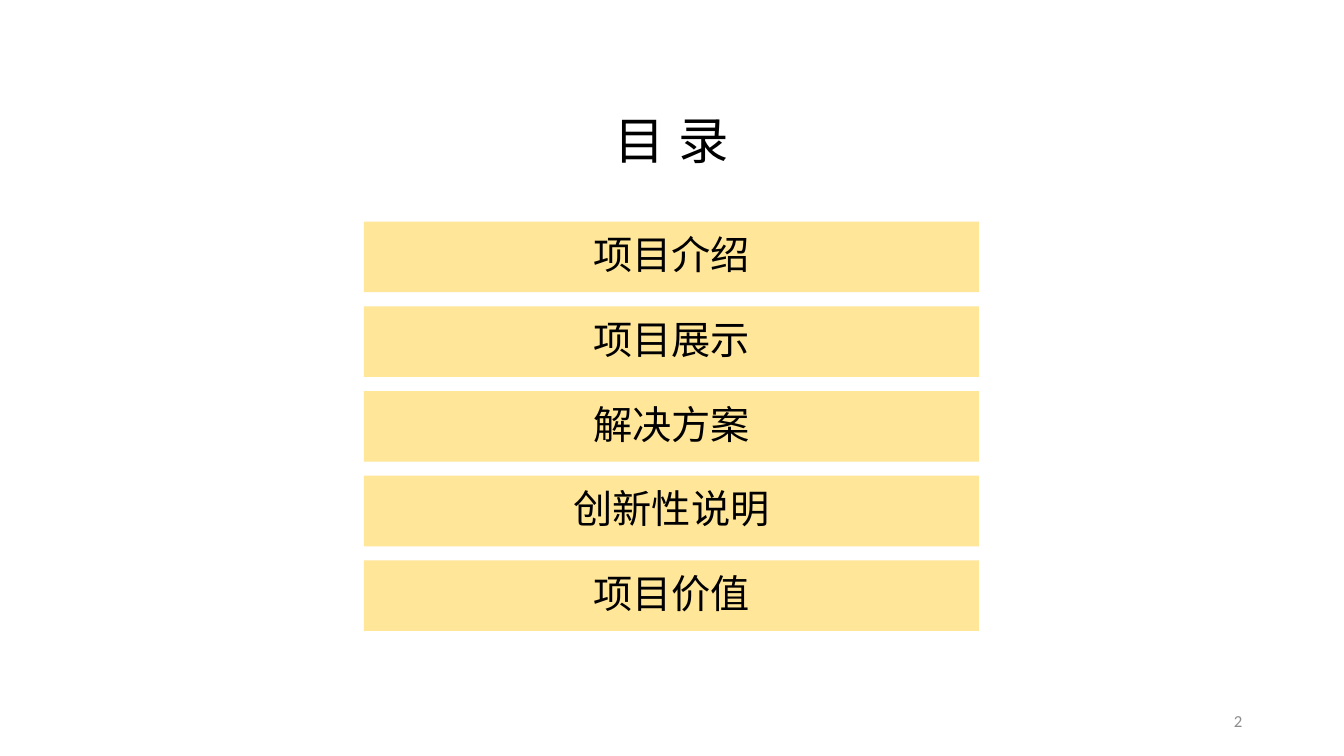
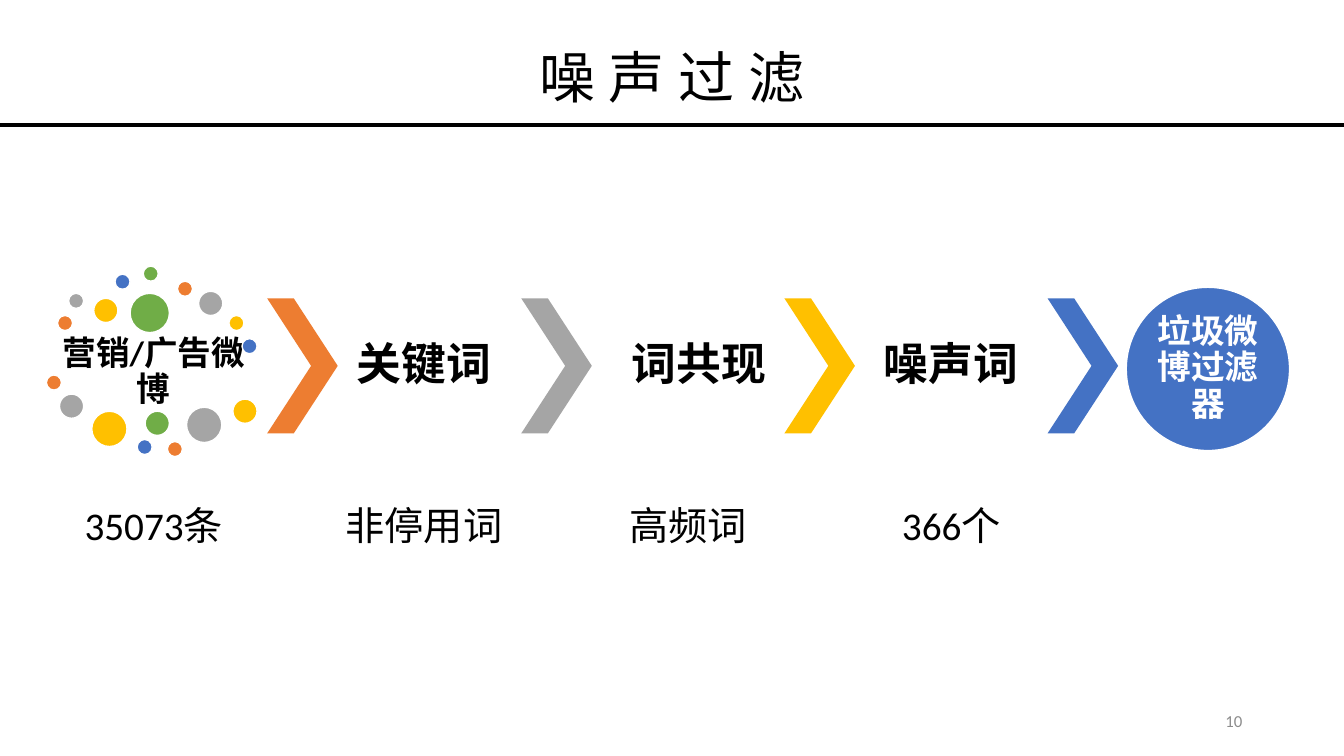
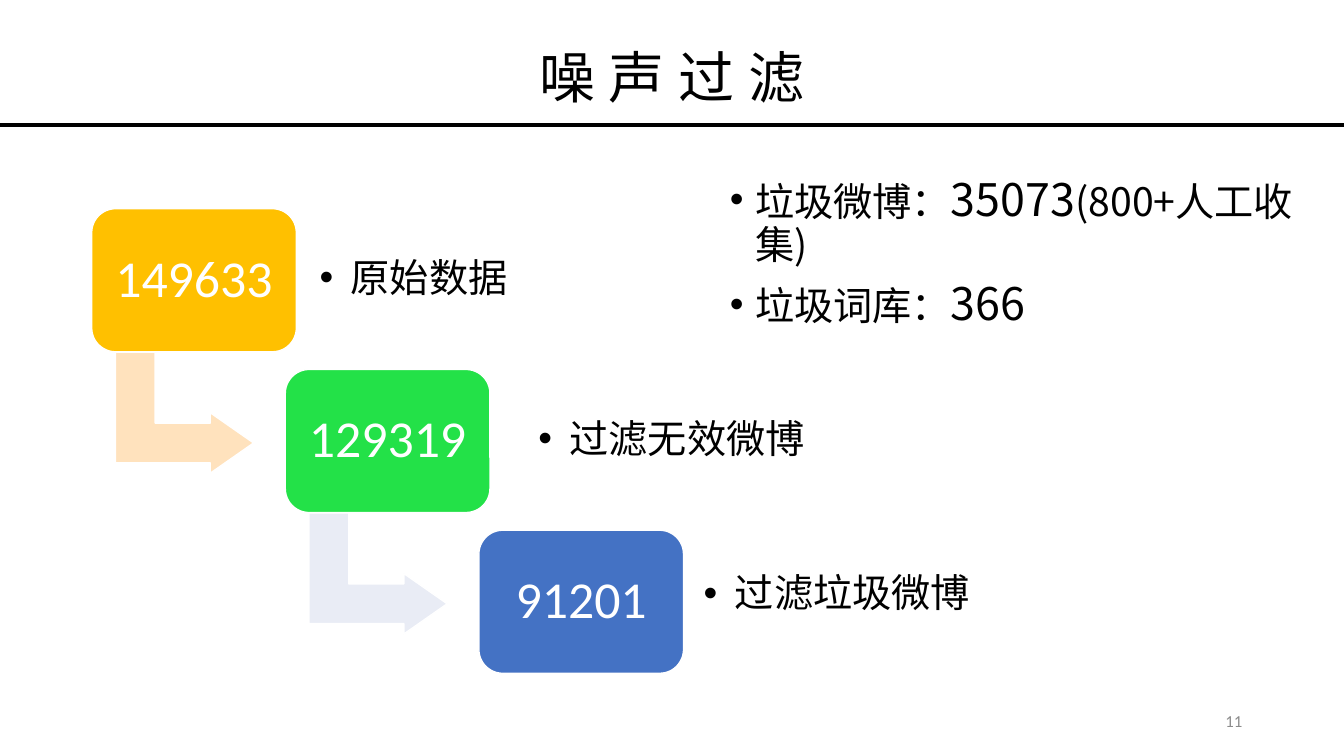
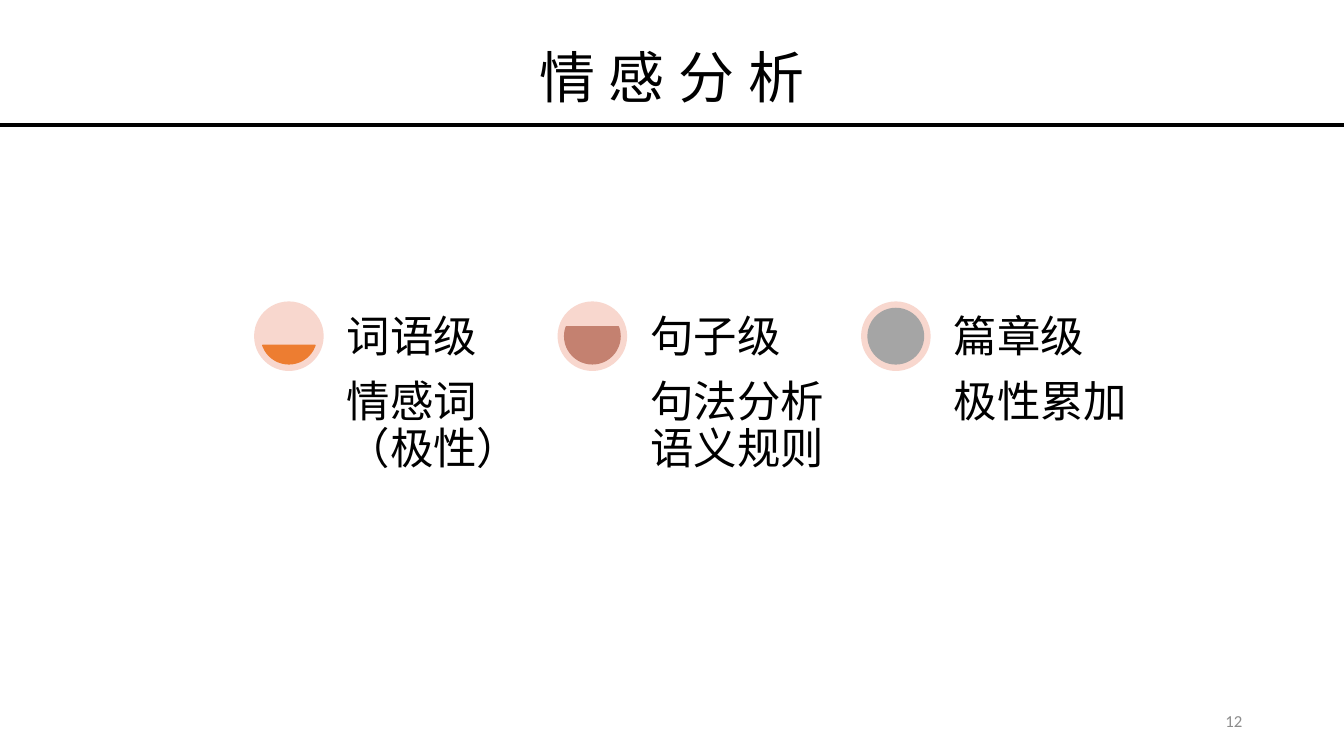
from lxml.etree import SubElement
from pptx import Presentation
from pptx.dml.color import RGBColor
from pptx.enum.shapes import MSO_CONNECTOR, MSO_SHAPE
from pptx.enum.text import MSO_ANCHOR, MSO_AUTO_SIZE, PP_ALIGN
from pptx.oxml.ns import qn
from pptx.util import Inches, Pt

LATIN = "Calibri"
CJK = "Noto Sans CJK SC"
BLACK, WHITE, PAGE_GREY = "000000", "FFFFFF", "8C8C8C"
ORANGE, GREY, GOLD, BLUE, GREEN = "ED7D31", "A5A5A5", "FFC000", "4472C4", "70AD47"
CREAM, PINK, CLAY = "FFE699", "F8D7CE", "C48170"
PEACH, PALE_BLUE, BRIGHT_GREEN = "FFE2BD", "E9ECF5", "23E148"
TITLE_BOX = (4.34, 0.37, 4.65, 0.77)


def rgb(colour):
    return RGBColor.from_string(colour)


def inches(box):
    return [Inches(length) for length in box]


def write_text(frame, content, size=28, colour=BLACK, font=LATIN, bold=False,
               align=PP_ALIGN.CENTER, anchor=MSO_ANCHOR.MIDDLE, inset=(0.1, 0.05),
               line_spacing=0.9, before=0, tracking=0, bullet_indent=0):
    frame.word_wrap = True
    frame.auto_size = MSO_AUTO_SIZE.NONE
    frame.vertical_anchor = anchor
    frame.margin_left = frame.margin_right = Inches(inset[0])
    frame.margin_top = frame.margin_bottom = Inches(inset[1])
    paragraphs = [[(content, size)]] if isinstance(content, str) else content
    for index, runs in enumerate(paragraphs):
        paragraph = frame.add_paragraph() if index else frame.paragraphs[0]
        paragraph.alignment = align
        paragraph.line_spacing = line_spacing
        paragraph.space_before = Pt(before)
        if bullet_indent:
            properties = paragraph._p.get_or_add_pPr()
            properties.set("marL", str(Inches(bullet_indent)))
            properties.set("indent", str(-Inches(bullet_indent)))
            SubElement(properties, qn("a:buFont")).set("typeface", "Arial")
            SubElement(properties, qn("a:buChar")).set("char", "•")
        for words, points in runs:
            run = paragraph.add_run()
            run.text = words
            run.font.size = Pt(points)
            run.font.bold = bold
            run.font.name = font
            run.font.color.rgb = rgb(colour)
            run_properties = run._r.get_or_add_rPr()
            SubElement(run_properties, qn("a:ea")).set("typeface", CJK)
            if tracking:
                run_properties.set("spc", str(tracking * 100))


def add_text(slide, box, content, **text_format):
    label = slide.shapes.add_textbox(*inches(box))
    write_text(label.text_frame, content, **text_format)


def add_figure(slide, preset, box, fill, outline=None, adjustments=()):
    figure = slide.shapes.add_shape(preset, *inches(box))
    figure.shadow.inherit = False
    figure.fill.solid()
    figure.fill.fore_color.rgb = rgb(fill)
    if outline:
        figure.line.color.rgb = rgb(outline)
        figure.line.width = Pt(1)
    else:
        figure.line.fill.background()
    for index, value in enumerate(adjustments):
        figure.adjustments[index] = value
    return figure


def add_page(deck, title, number, title_box=TITLE_BOX, ruled=True, **title_format):
    slide = deck.slides.add_slide(deck.slide_layouts[5])
    heading = slide.shapes.title
    heading.left, heading.top, heading.width, heading.height = inches(title_box)
    style = dict(size=40, font=CJK, tracking=10, line_spacing=1, anchor=MSO_ANCHOR.TOP)
    write_text(heading.text_frame, title, **{**style, **title_format})
    if ruled:
        rule = slide.shapes.add_connector(
            MSO_CONNECTOR.STRAIGHT, 0, Inches(1.24), deck.slide_width, Inches(1.24))
        rule.line.color.rgb = rgb(BLACK)
        rule.line.width = Pt(2.25)
        SubElement(rule._element.spPr, qn("a:effectLst"))
    add_text(slide, (9.42, 6.95, 3, 0.4), str(number), size=12, colour=PAGE_GREY,
             align=PP_ALIGN.RIGHT, line_spacing=1)
    return slide


def add_contents(slide, left, top, width, chapters):
    for index, chapter in enumerate(chapters):
        bar = add_figure(slide, MSO_SHAPE.RECTANGLE,
                         (left, top + 0.84 * index, width, 0.7), CREAM)
        write_text(bar.text_frame, chapter, font=CJK, before=10)


def add_dot_cloud(slide, left, top):
    small, medium, large, largest = 0.15, 0.24, 0.35, 0.39
    dots = [
        (0.11, 0.49, small, ORANGE), (0.22, 0.27, small, GREY),
        (0.47, 0.32, medium, GOLD), (0.68, 0.08, small, BLUE),
        (0.96, 0, small, GREEN), (1.3, 0.15, small, ORANGE),
        (1.51, 0.25, medium, GREY), (1.81, 0.49, small, GOLD),
        (1.94, 0.72, small, BLUE), (0.83, 0.27, largest, GREEN),
        (0, 1.08, small, ORANGE), (0.13, 1.27, medium, GREY),
        (0.45, 1.44, large, GOLD), (0.9, 1.72, small, BLUE),
        (0.98, 1.44, medium, GREEN), (1.2, 1.74, small, ORANGE),
        (1.39, 1.4, large, GREY), (1.85, 1.32, medium, GOLD),
    ]
    add_text(slide, (left + 0.11, top + 0.74, 1.91, 0.63), "营销/广告微博",
             size=24, bold=True, inset=(0.03, 0.03))
    for x, y, diameter, colour in dots:
        add_figure(slide, MSO_SHAPE.OVAL, (left + x, top + y, diameter, diameter),
                   colour, WHITE)


def add_chevron(slide, left, top, colour):
    add_figure(slide, MSO_SHAPE.CHEVRON, (left, top, 0.7, 1.34), colour,
               adjustments=[0.623])


def add_caption(slide, left, top, caption):
    add_text(slide, (left, top, 1.91, 1.18), caption, inset=(0.04, 0.04))


def add_filter_flow(slide, left, top):
    add_dot_cloud(slide, left, top)
    add_caption(slide, left + 0.11, top + 2.01, "35073条")
    stages = [
        (2.19, ORANGE, "关键词", 2.79, "非停用词", 2.79),
        (4.71, GREY, "词共现", 5.52, "高频词", 5.41),
        (7.32, GOLD, "噪声词", 8.02, "366个", 8.02),
    ]
    for chevron_x, colour, heading, heading_x, caption, caption_x in stages:
        add_chevron(slide, left + chevron_x, top + 0.32, colour)
        add_text(slide, (left + heading_x, top + 0.32, 1.91, 1.34), heading,
                 size=32, bold=True, inset=(0.04, 0.04))
        add_caption(slide, left + caption_x, top + 2.01, caption)
    add_chevron(slide, left + 9.93, top + 0.32, BLUE)
    spam_filter = add_figure(slide, MSO_SHAPE.OVAL,
                             (left + 10.71, top + 0.21, 1.62, 1.62), BLUE, WHITE)
    write_text(spam_filter.text_frame, "垃圾微博过滤器", size=24, colour=WHITE,
               bold=True, inset=(0, 0))


def add_filter_steps(slide, left, top):
    steps = [
        ("149633", GOLD, PEACH, "原始数据", 2.14, 0.13, 2.47),
        ("129319", BRIGHT_GREEN, PALE_BLUE, "过滤无效微博", 2.39, 0.13, 3.2),
        ("91201", BLUE, None, "过滤垃圾微博", 2.11, 0.07, 3.14),
    ]
    for index, (count, colour, arrow_colour, label, dx, dy, width) in enumerate(steps):
        x, y = left + 1.92 * index, top + 1.595 * index
        if arrow_colour:
            arrow = add_figure(slide, MSO_SHAPE.BENT_UP_ARROW,
                               (x + 0.32, y + 1.34, 1.2, 1.37), arrow_colour, WHITE,
                               [0.328, 0.25, 0.358])
            arrow.rotation = 90
        step = add_figure(slide, MSO_SHAPE.ROUNDED_RECTANGLE, (x, y, 2.03, 1.42),
                          colour, WHITE, [0.167])
        write_text(step.text_frame, count, size=37, colour=WHITE, inset=(0.15, 0.15))
        add_text(slide, (x + dx, y + dy, width, 1.15), label, align=PP_ALIGN.LEFT,
                 inset=(0.12, 0.12), bullet_indent=0.31)


def add_spam_summary(slide, box):
    summary = [
        [("垃圾微博：", 28), ("35073", 32), ("(800+人工收集)", 28)],
        [("垃圾词库：", 28), ("366", 32)],
    ]
    add_text(slide, box, summary, font=CJK, align=PP_ALIGN.LEFT,
             anchor=MSO_ANCHOR.TOP, before=10, bullet_indent=0.25)


def add_level(slide, left, top, name, method, colour, angles):
    add_figure(slide, MSO_SHAPE.OVAL, (left, top, 0.69, 0.69), PINK)
    add_figure(slide, MSO_SHAPE.CHORD, (left + 0.07, top + 0.07, 0.55, 0.55),
               colour, colour, angles)
    style = dict(size=31, align=PP_ALIGN.LEFT, inset=(0.09, 0.09))
    add_text(slide, (left + 0.83, top + 0.69, 2.03, 2.89), method,
             anchor=MSO_ANCHOR.TOP, **style)
    add_text(slide, (left + 0.83, top, 2.03, 0.69), name,
             anchor=MSO_ANCHOR.BOTTOM, **style)


def add_sentiment_levels(slide, left, top):
    levels = [
        ("词语级", "情感词（极性）", ORANGE, (11.683, 96.317)),
        ("句子级", "句法分析语义规则", CLAY, (204.317, 119.683)),
        ("篇章级", "极性累加", GREY, (162, 162)),
    ]
    for index, level in enumerate(levels):
        add_level(slide, left + 3.01 * index, top, *level)


def main():
    deck = Presentation()
    deck.slide_width, deck.slide_height = inches((13.33, 7.5))

    contents = add_page(deck, "目录", 2, (3.61, 0.97, 6.1, 0.9), ruled=False, size=36,
                        anchor=MSO_ANCHOR.MIDDLE, line_spacing=0.9, before=10)
    add_contents(contents, 3.61, 2.2, 6.1,
                 ["项目介绍", "项目展示", "解决方案", "创新性说明", "项目价值"])

    flow = add_page(deck, "噪声过滤", 10)
    add_filter_flow(flow, 0.46, 2.64)

    results = add_page(deck, "噪声过滤", 11)
    add_filter_steps(results, 0.91, 2.07)
    add_spam_summary(results, (7.14, 1.71, 6.01, 1.05))

    sentiment = add_page(deck, "情感分析", 12)
    add_sentiment_levels(sentiment, 2.52, 2.99)

    deck.save("out.pptx")


if __name__ == "__main__":
    main()
